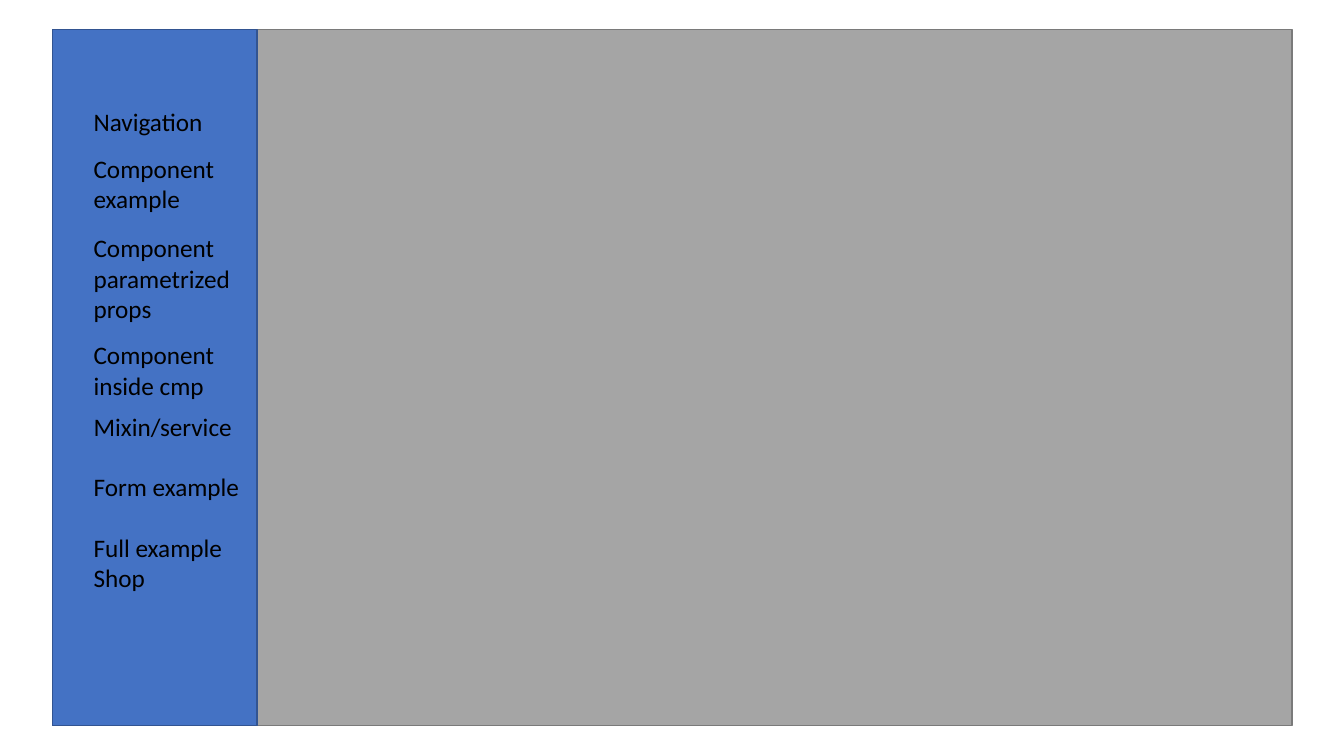
import dataclasses

import pptx
import pptx.dml.color
import pptx.enum.shapes
import pptx.enum.text
import pptx.slide
import pptx.util

Pt = pptx.util.Pt


@dataclasses.dataclass
class Panel:
    width: float
    fill: str
    line: str


@dataclasses.dataclass
class Label:
    text: str
    top: float
    height: float
    width: float = 123.12


LEFT, TOP, HEIGHT = 37.44, 20.88, 497.52
INDENT = 59.76

PANELS = [
    Panel(885.6, "A5A5A5", "7A7A7A"),
    Panel(146.16, "4472C4", "325491"),
]

LABELS = [
    Label("Navigation", 72.72, 28.8, 100.8),
    Label("Component example", 105.84, 51.12),
    Label("Component parametrized\nprops", 162.72, 72.72),
    Label("Component inside cmp", 239.04, 51.12),
    Label("Mixin/service", 290.16, 28.8),
    Label("Form example", 333.36, 28.8),
    Label("Full example Shop", 376.56, 51.12),
]


def color(code: str) -> pptx.dml.color.RGBColor:
    return pptx.dml.color.RGBColor.from_string(code)


def draw_panel(slide: pptx.slide.Slide, panel: Panel) -> None:
    shape = slide.shapes.add_shape(
        pptx.enum.shapes.MSO_SHAPE.RECTANGLE,
        Pt(LEFT), Pt(TOP), Pt(panel.width), Pt(HEIGHT),
    )
    shape.shadow.inherit = False
    shape.fill.solid()
    shape.fill.fore_color.rgb = color(panel.fill)
    shape.line.color.rgb = color(panel.line)
    shape.line.width = Pt(1)


def draw_label(slide: pptx.slide.Slide, label: Label) -> None:
    box = slide.shapes.add_textbox(
        Pt(INDENT), Pt(label.top), Pt(label.width), Pt(label.height)
    )
    frame = box.text_frame
    frame.word_wrap = True
    frame.auto_size = pptx.enum.text.MSO_AUTO_SIZE.SHAPE_TO_FIT_TEXT
    frame.text = label.text
    for para in frame.paragraphs:
        para.font.name = "Calibri"
        para.font.size = Pt(18)
        para.font.color.rgb = color("000000")


def main() -> None:
    deck = pptx.Presentation()
    deck.slide_width, deck.slide_height = Pt(960), Pt(540)
    slide = deck.slides.add_slide(deck.slide_layouts[6])
    for panel in PANELS:
        draw_panel(slide, panel)
    for label in LABELS:
        draw_label(slide, label)
    deck.save("out.pptx")


if __name__ == "__main__":
    main()
